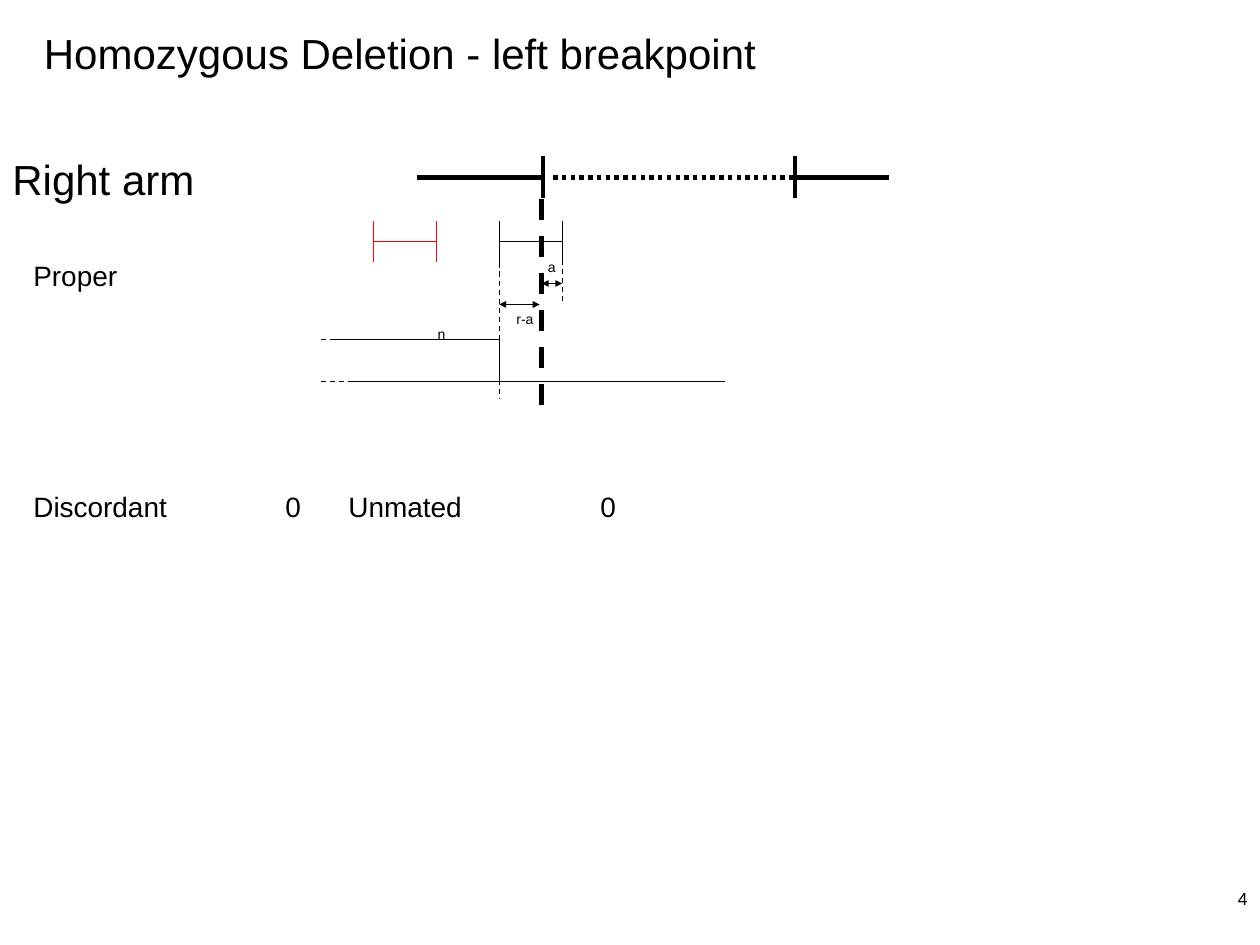
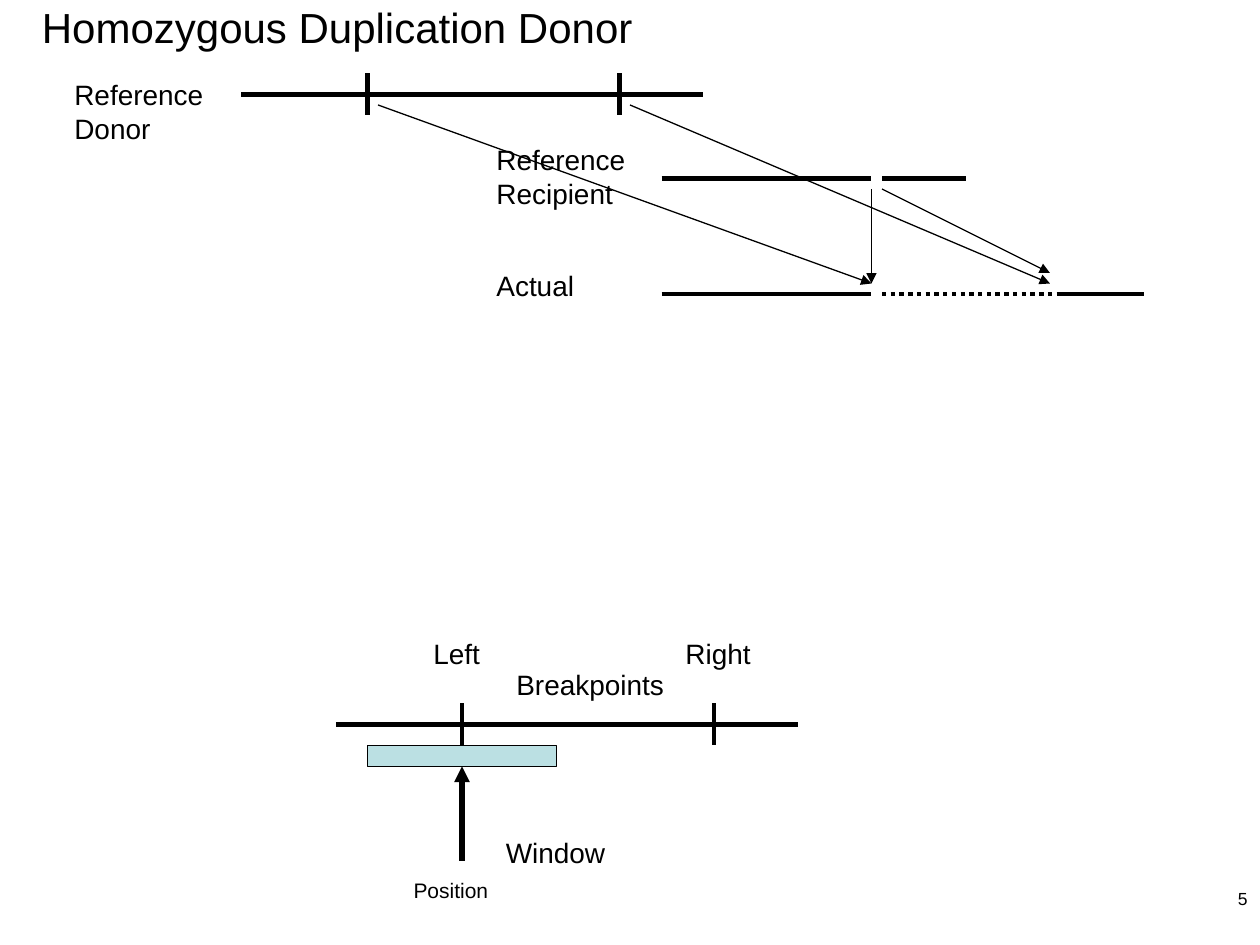
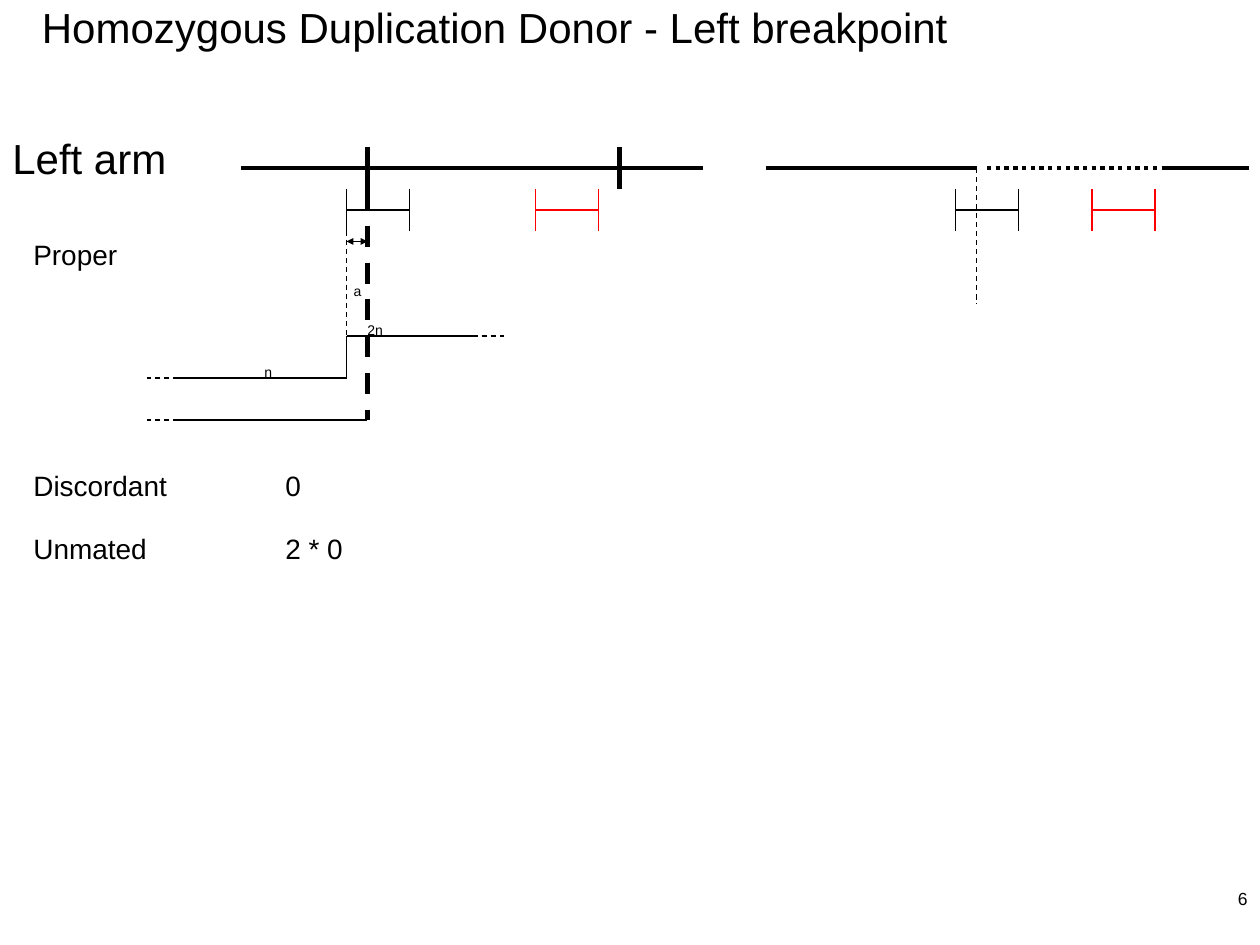
from dataclasses import dataclass
from pptx import Presentation
from pptx.dml.color import RGBColor
from pptx.enum.dml import MSO_LINE
from pptx.enum.shapes import MSO_CONNECTOR, MSO_SHAPE
from pptx.enum.text import MSO_AUTO_SIZE, PP_ALIGN
from pptx.oxml.xmlchemy import OxmlElement
from pptx.slide import Slide
from pptx.util import Inches, Pt

COLORS = {"ink": "000000", "read": "FF0000", "window": "BBE0E3"}
FONT = "Arial"
CELLS = 12
SLACK = 0.7
THIN, BOLD, HEAVY = 0.75, 2.5, 3
TITLE, BODY, SMALL, PAGE, TINY = 24, 16, 12, 10, 8
DASH, DOT = MSO_LINE.DASH, MSO_LINE.ROUND_DOT


def cell(count):
    """Turn grid cells, twelve to the inch, into a length."""
    return Inches(count / CELLS)


def hue(name):
    """Look up a colour by its role."""
    return RGBColor.from_string(COLORS[name])


def add_node(parent, tag, **attrs):
    """Append an XML element with its attributes."""
    node = OxmlElement(tag)
    for key, value in attrs.items():
        node.set(key, value)
    parent.append(node)
    return node


@dataclass
class Pane:
    """A region of a slide with its own origin on the grid."""
    slide: Slide
    left: float = 0
    top: float = 0

    def sub(self, x, y):
        """Give a region that starts at a cell of this one."""
        return Pane(self.slide, self.left + x, self.top + y)

    def spot(self, x, y):
        """Turn a local cell into a place on the slide."""
        return cell(self.left + x), cell(self.top + y)

    def line(self, x1, y1, x2, y2, width=THIN, color="ink", dash=None,
             ends=(), head="med"):
        """Draw a line between two cells."""
        link = self.slide.shapes.add_connector(
            MSO_CONNECTOR.STRAIGHT, *self.spot(x1, y1), *self.spot(x2, y2))
        link.line.color.rgb = hue(color)
        link.line.width = Pt(width)
        if dash:
            link.line.dash_style = dash
        for end in ends:
            add_node(link.line._get_or_add_ln(), f"a:{end}",
                     type="triangle", w=head, len=head)
        add_node(link._element.spPr, "a:effectLst")

    def arrow(self, *ends, width=THIN):
        """Draw a line with a head at its far end."""
        self.line(*ends, width=width, ends=("tailEnd",))

    def span(self, x1, x2, y):
        """Draw a level line with small heads at both ends."""
        self.line(x1, y, x2, y, ends=("headEnd", "tailEnd"), head="sm")

    def label(self, text, x, y, width, size=BODY):
        """Write a text whose box is as high as its lines."""
        rows = text.count("\n") + 1
        high = Inches(0.1 + rows * size / 60)
        box = self.slide.shapes.add_textbox(
            *self.spot(x, y), cell(width + SLACK), high)
        frame = box.text_frame
        frame.word_wrap = True
        frame.auto_size = MSO_AUTO_SIZE.NONE
        frame.text = text
        for para in frame.paragraphs:
            if "\t" in text:
                stops = add_node(para._p.get_or_add_pPr(), "a:tabLst")
                add_node(stops, "a:tab", pos=str(Inches(2)), algn="l")
            for run in para.runs:
                run.font.name = FONT
                run.font.size = Pt(size)
                run.font.color.rgb = hue("ink")
        return box


def ticks(pane, places, width, color="ink"):
    """Draw upright marks across the base line."""
    for x in places:
        pane.line(x, -2, x, 2, width, color)


def strand(pane):
    """Draw a reference strand with its two breakpoints."""
    pane.line(0, 0, 44, 0, BOLD)
    ticks(pane, (12, 36), BOLD)


def gapped(pane, start, dots, stop, end):
    """Draw a strand whose middle part is dotted."""
    pane.line(0, 0, start, 0, BOLD)
    pane.line(dots, 0, stop, 0, BOLD, dash=DOT)
    pane.line(stop, 0, end, 0, BOLD)


def mate(pane, color="ink"):
    """Draw a read pair as a bar with two ends."""
    pane.line(0, 0, 6, 0, color=color)
    ticks(pane, (0, 6), THIN, color)


def level(pane, start, end, tail=3):
    """Draw a depth line that fades out on its outer side."""
    pane.line(start, 0, end, 0)
    pane.line(tail, 0, 0, 0, dash=DASH)


def page(deck, number, title, x, y, width):
    """Start a slide with its title and number."""
    pane = Pane(deck.slides.add_slide(deck.slide_layouts[6]))
    pane.label(title, x, y, width, TITLE)
    foot = pane.label(str(number), 95 - SLACK, 84, 25, PAGE)
    foot.text_frame.paragraphs[0].alignment = PP_ALIGN.RIGHT
    return pane


def arm(pane, name, width):
    """Write the labels of an arm and of its two first counts."""
    pane.label(name, 0, 0, width, TITLE)
    pane.label("Proper", 2, 10, 10.3)
    pane.label("Discordant\t0", 2, 32, 27.8)


def deletion(pane):
    """Draw the read depth left of a deletion."""
    arm(pane.sub(0, 14), "Right arm", 19.7)
    pane.label("Unmated\t0", 32, 46, 27.8)
    chain = pane.sub(39.7, 16.9)
    gapped(chain, 12, 13, 36, 45)
    ticks(chain, (12, 36), BOLD)
    mate(pane.sub(35.55, 23), "read")
    mate(pane.sub(47.55, 23))
    level(pane.sub(30.6, 36.33), 3, 38.4)
    level(pane.sub(30.6, 32.33), 1, 16.95)
    pane.line(47.55, 36.33, 47.55, 32.33)
    pane.line(47.55, 25, 47.55, 38, dash=DASH)
    pane.line(53.55, 23, 53.55, 29, dash=DASH)
    pane.line(51.6, 19, 51.6, 38.8, HEAVY, dash=DASH)
    pane.span(51.6, 53.55, 27)
    pane.span(47.55, 51.4, 29)
    pane.label("n", 40.5, 30.4, 3.1, TINY)
    pane.label("a", 51, 24, 3.1, TINY)
    pane.label("r-a", 48, 29, 4, TINY)


def transfer(pane):
    """Draw how the donor part enters the recipient."""
    strand(pane.sub(23, 9))
    gapped(pane.sub(63, 28), 20, 21, 38, 46)
    pane.line(63, 17, 83, 17, BOLD)
    pane.line(84, 17, 92, 17, BOLD)
    for ends in ((60, 10, 100, 27), (36, 10, 83, 27),
                 (83, 18, 83, 27), (84, 18, 100, 26)):
        pane.arrow(*ends)
    pane.label("Reference\nDonor", 5.9, 6.8, 14.6)
    pane.label("Reference\nRecipient", 46.1, 13, 14.6)
    pane.label("Actual", 46.1, 25, 9.7)


def window(pane):
    """Draw the window around the left breakpoint."""
    strand(pane)
    bar = pane.slide.shapes.add_shape(
        MSO_SHAPE.RECTANGLE, *pane.spot(3, 2), cell(18), cell(2))
    bar.shadow.inherit = False
    bar.fill.solid()
    bar.fill.fore_color.rgb = hue("window")
    bar.line.color.rgb = hue("ink")
    bar.line.width = Pt(THIN)
    pane.arrow(12, 13, 12, 4, width=HEAVY)
    pane.label("Left", 8.1, -9, 6.8)
    pane.label("Right", 32.1, -9, 8.5)
    pane.label("Breakpoints", 16, -6, 16.4)
    pane.label("Window", 15, 10, 11.9)
    pane.label("Position", 6.2, 14, 9.5, SMALL)


def donor(pane):
    """Draw the read depth at the left end of a duplication."""
    arm(pane.sub(0, 12), "Left arm", 17)
    pane.label("Unmated\t2 * 0", 2, 50, 31.8)
    strand(pane.sub(23, 16))
    gapped(pane.sub(73, 16), 20, 21, 38, 46)
    for x, color in ((33, "ink"), (51, "read"), (91, "ink"), (104, "read")):
        mate(pane.sub(x, 20), color)
    pane.line(35, 18, 35, 40, HEAVY, dash=DASH)
    pane.line(33, 22, 33, 36, dash=DASH)
    pane.line(93, 16, 93, 29, dash=DASH)
    pane.span(33, 35, 23)
    level(pane.sub(14, 40), 3, 21)
    level(pane.sub(14, 36), 3, 19)
    level(pane.sub(48, 32), -15, -3, -3)
    pane.line(33, 32, 33, 36)
    pane.label("a", 32.5, 26.3, 3.1, TINY)
    pane.label("n", 24, 34, 3.1, TINY)
    pane.label("2n", 33.8, 30, 3.8, TINY)


def main():
    """Build the three slides and save them."""
    deck = Presentation()
    deck.slide_width, deck.slide_height = Inches(10), Inches(7.5)
    deletion(page(deck, 4, "Homozygous Deletion - left breakpoint", 3, 2, 70.2))
    pair = page(deck, 5, "Homozygous Duplication Donor", 2.8, -0.45, 58.7)
    transfer(pair)
    window(pair.sub(32, 69))
    donor(page(deck, 6, "Homozygous Duplication Donor - Left breakpoint",
               2.8, -0.45, 88.7))
    deck.save("out.pptx")


if __name__ == "__main__":
    main()
